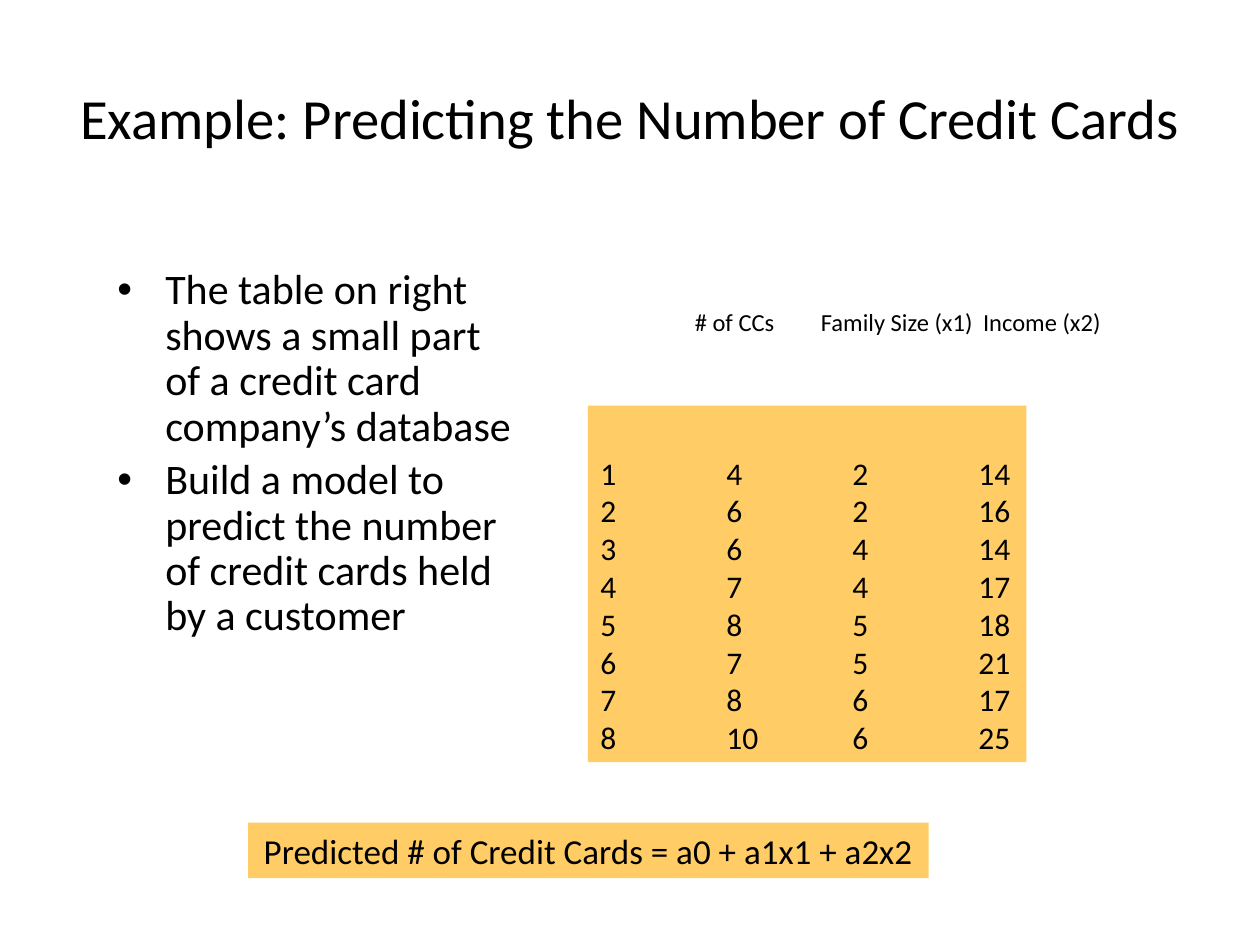
from dataclasses import dataclass
from typing import Optional

from lxml import etree
from pptx import Presentation
from pptx import util as u
from pptx.dml.color import RGBColor
from pptx.enum import shapes, text
from pptx.oxml.ns import qn


@dataclass(frozen=True)
class Theme:
    font: str = "Calibri"
    ink: RGBColor = RGBColor(0x00, 0x00, 0x00)
    panel: RGBColor = RGBColor(0xFF, 0xCC, 0x66)
    title: float = 32.4
    body: float = 24
    formula: float = 20
    data: float = 18
    header: float = 14


THEME = Theme()
CELL = u.Inches(10) / 120  # square grid: 120 columns by 90 rows
TAB = 12  # columns between tab stops


@dataclass(frozen=True)
class Block:
    """A text area placed in grid columns and rows; tabs are in columns."""
    col: float
    row: float
    cols: float
    rows: float
    lines: tuple[str, ...]
    size: float
    fill: Optional[RGBColor] = None
    align: text.PP_ALIGN = text.PP_ALIGN.LEFT
    anchor: text.MSO_ANCHOR = text.MSO_ANCHOR.TOP
    wrap: bool = True
    bullet: Optional[str] = None
    tabs: tuple[float, ...] = ()


def grid(cells: float) -> u.Emu:
    return u.Emu(round(cells * CELL))


def add_bullet(paragraph, mark: str) -> None:
    properties = paragraph._p.get_or_add_pPr()
    hanging = u.Inches(0.38)
    properties.set("marL", str(hanging))
    properties.set("indent", str(-hanging))
    etree.SubElement(properties, qn("a:buFont"), typeface="Arial")
    etree.SubElement(properties, qn("a:buChar"), char=mark)


def add_tabs(paragraph, stops: tuple[float, ...]) -> None:
    tab_list = etree.SubElement(paragraph._p.get_or_add_pPr(), qn("a:tabLst"))
    for stop in stops:
        etree.SubElement(tab_list, qn("a:tab"), pos=str(grid(stop)), algn="l")


def draw(slide, block: Block) -> None:
    place = [grid(n) for n in (block.col, block.row, block.cols, block.rows)]
    if block.fill is None:
        area = slide.shapes.add_textbox(*place)
    else:
        area = slide.shapes.add_shape(shapes.MSO_SHAPE.RECTANGLE, *place)
        area.shadow.inherit = False
        area.fill.solid()
        area.fill.fore_color.rgb = block.fill
        area.line.fill.background()

    frame = area.text_frame
    frame_format = {"word_wrap": block.wrap, "vertical_anchor": block.anchor,
                    "auto_size": text.MSO_AUTO_SIZE.NONE}
    for name, value in frame_format.items():
        setattr(frame, name, value)

    for index, line in enumerate(block.lines):
        paragraph = frame.paragraphs[0] if index == 0 else frame.add_paragraph()
        paragraph.alignment = block.align
        if block.bullet:
            paragraph.line_spacing = 0.9
            if index:
                paragraph.space_before = u.Pt(0.2 * block.size)
            add_bullet(paragraph, block.bullet)
        if block.tabs:
            add_tabs(paragraph, block.tabs)
        run = paragraph.add_run()
        run.text = line
        font_format = {"name": THEME.font, "size": u.Pt(block.size)}
        for name, value in font_format.items():
            setattr(run.font, name, value)
        run.font.color.rgb = THEME.ink


CUSTOMERS = ((4, 2, 14), (6, 2, 16), (6, 4, 14), (7, 4, 17),
             (8, 5, 18), (7, 5, 21), (8, 6, 17), (10, 6, 25))
CUSTOMER_LINES = tuple("\t".join(map(str, (number, *values)))
                       for number, values in enumerate(CUSTOMERS, 1))

BLOCKS = (
    Block(6, 3.6, 108, 15, ("Example: Predicting the Number of Credit Cards",),
          THEME.title, align=text.PP_ALIGN.CENTER,
          anchor=text.MSO_ANCHOR.MIDDLE),
    Block(10, 25, 40, 54,
          ("The table on right shows a small part of a credit card "
           "company’s database",
           "Build a model to predict the number of credit cards held "
           "by a customer"),
          THEME.body, bullet="•"),
    Block(56, 38.64, 41.76, 33.96, CUSTOMER_LINES, THEME.data, THEME.panel,
          anchor=text.MSO_ANCHOR.BOTTOM, wrap=False,
          tabs=(TAB, 2 * TAB, 3 * TAB)),
    Block(65, 28.68, 53, 4.08, ("# of CCs\tFamily Size (x1)\tIncome (x2)",),
          THEME.header, tabs=(TAB, 27.45)),
    Block(23.64, 78.36, 64.8, 5.28,
          ("Predicted # of Credit Cards = a0 + a1x1 + a2x2",),
          THEME.formula, THEME.panel, align=text.PP_ALIGN.CENTER,
          anchor=text.MSO_ANCHOR.MIDDLE, wrap=False),
)


def main() -> None:
    deck = Presentation()
    deck.slide_width, deck.slide_height = grid(120), grid(90)
    slide = deck.slides.add_slide(deck.slide_layouts[6])
    for block in BLOCKS:
        draw(slide, block)
    deck.save("out.pptx")


if __name__ == "__main__":
    main()
